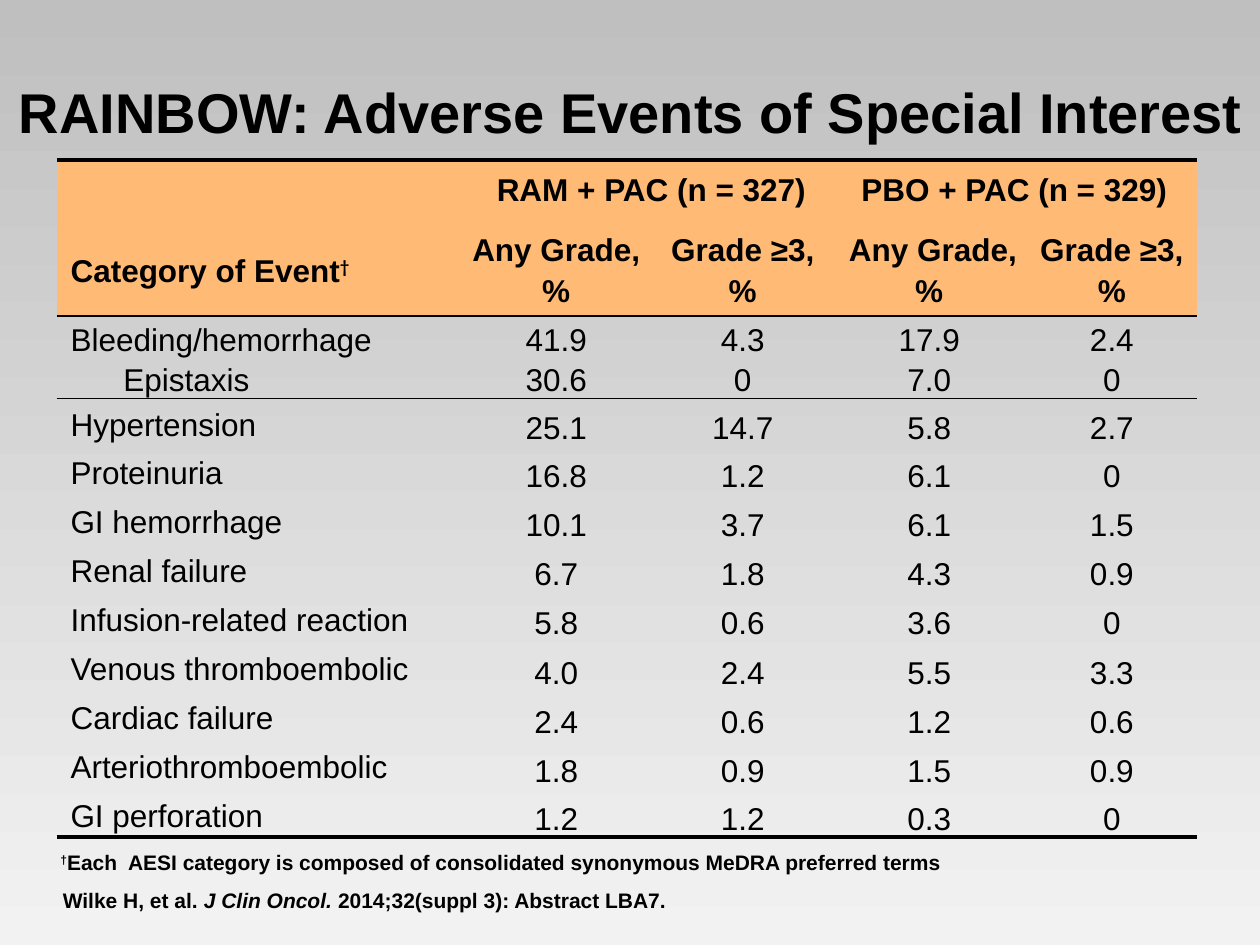
from lxml import etree
from pptx import Presentation
from pptx.dml.color import RGBColor
from pptx.enum.text import MSO_ANCHOR, MSO_AUTO_SIZE, PP_ALIGN
from pptx.oxml.ns import qn
from pptx.util import Inches, Pt

LEFT, CENTER = PP_ALIGN.LEFT, PP_ALIGN.CENTER
TOP, MIDDLE, BOTTOM = MSO_ANCHOR.TOP, MSO_ANCHOR.MIDDLE, MSO_ANCHOR.BOTTOM
TITLE_ONLY = 5
PLAIN_TABLE = "{2D5ABB26-0587-4C30-8999-92F81FD0307C}"

INK = "000000"
HEADER_FILL = "FFBA75"
THICK, THIN = 3, 1
NO_INSET = (0, 0, 0, 0)
SLIM_INSET = (0.01, 0.01, 0.01, 0)
LABEL_INDENT, SUB_INDENT = 0.1, 0.52

COLUMN_WIDTHS = [3.19, 1.55, 1.41, 1.55, 1.35]
ROW_HEIGHTS = [0.48, 0.76, 0.65, 0.38, 0.38] + [0.39] * 6 + [0.38]
GROUPS = [(1, "RAM + PAC (n = 327)", (0.1, 0, 0, 0)),
          (3, "PBO + PAC (n = 329)", NO_INSET)]
GRADES = ["Any Grade, %", "Grade ≥3, %", " Any Grade, %", "Grade ≥3, %"]
# Each table row holds one or more (event, values) lines.
EVENTS = [
    [("Bleeding/hemorrhage", ["41.9", "4.3", "17.9", "2.4"]),
     ("Epistaxis", ["30.6", "0", "7.0", "0"])],
    [("Hypertension", ["25.1", "14.7", "5.8", "2.7"])],
    [("Proteinuria", ["16.8", "1.2", "6.1", "0"])],
    [("GI hemorrhage", ["10.1", "3.7", "6.1", "1.5"])],
    [("Renal failure", ["6.7", "1.8", "4.3", "0.9"])],
    [("Infusion-related reaction", ["5.8", "0.6", "3.6", "0"])],
    [("Venous thromboembolic", ["4.0", "2.4", "5.5", "3.3"])],
    [("Cardiac failure", ["2.4", "0.6", "1.2", "0.6"])],
    [("Arteriothromboembolic", ["1.8", "0.9", "1.5", "0.9"])],
    [("GI perforation", ["1.2", "1.2", "0.3", "0"])],
]


def color(value):
    return RGBColor.from_string(value)


class SlideBuilder:
    """Holds the text style and the slide being filled."""

    def __init__(self, slide, font="Arial"):
        self.slide = slide
        self.font = font

    def background(self, first, last):
        fill = self.slide.background.fill
        fill.gradient()
        fill.gradient_angle = 270
        for stop, position, shade in zip(fill.gradient_stops, (0, 1), (first, last)):
            stop.position = position
            stop.color.rgb = color(shade)

    def span(self, para, text, size, bold=True, italic=False, raised=False, font=None):
        span = para.add_run()
        span.text = text
        span.font.name = font or self.font
        span.font.size = Pt(size)
        span.font.bold = bold
        span.font.italic = italic
        span.font.color.rgb = color(INK)
        if raised:
            span.font._element.set("baseline", "30000")

    def paragraph(self, para, spans, size, align=LEFT, spacing=1.0, indent=0.0, bold=True):
        """Fill a paragraph from (text, options) pairs."""
        para.alignment = align
        para.line_spacing = spacing
        if indent:
            properties = para._p.get_or_add_pPr()
            properties.set("marL", str(Inches(indent)))
            properties.set("indent", "0")
        for text, options in spans:
            self.span(para, text, size, **{"bold": bold, **options})

    def title(self, text, left, top, width, height):
        box = self.slide.shapes.title
        box.left, box.top = Inches(left), Inches(top)
        box.width, box.height = Inches(width), Inches(height)
        box.text_frame.vertical_anchor = MIDDLE
        box.text_frame.word_wrap = True
        self.paragraph(box.text_frame.paragraphs[0], [(text, {})], 32, CENTER, 0.85)

    def note(self, spans, left, top, width, height=0.29):
        box = self.slide.shapes.add_textbox(
            Inches(left), Inches(top), Inches(width), Inches(height))
        frame = box.text_frame
        frame.word_wrap = True
        frame.auto_size = MSO_AUTO_SIZE.SHAPE_TO_FIT_TEXT
        frame.vertical_anchor = TOP
        self.paragraph(frame.paragraphs[0], spans, 12, spacing=0.95)

    def table(self, left, top, widths, heights):
        frame = self.slide.shapes.add_table(
            len(heights), len(widths), Inches(left), Inches(top),
            Inches(sum(widths)), Inches(sum(heights)))
        table = frame.table
        table.first_row = table.horz_banding = False
        table._tbl.tblPr.find(qn("a:tableStyleId")).text = PLAIN_TABLE
        for column, width in zip(table.columns, widths):
            column.width = Inches(width)
        for row, height in zip(table.rows, heights):
            row.height = Inches(height)
        return table

    def cell(self, cell, lines, anchor=MIDDLE, inset=SLIM_INSET, align=CENTER,
             spacing=1.15, bold=False):
        """Fill a cell from (spans, indent) lines."""
        cell.vertical_anchor = anchor
        (cell.margin_left, cell.margin_top,
         cell.margin_right, cell.margin_bottom) = map(Inches, inset)
        frame = cell.text_frame
        for index, (spans, indent) in enumerate(lines):
            para = frame.add_paragraph() if index else frame.paragraphs[0]
            self.paragraph(para, spans, 18, align, spacing, indent, bold)

    def rule(self, cells, side, width):
        """Draw a border on one side ("T" or "B") of each cell."""
        for cell in cells:
            line = etree.Element(qn(f"a:ln{side}"), w=str(Pt(width)))
            fill = etree.SubElement(line, qn("a:solidFill"))
            etree.SubElement(fill, qn("a:srgbClr"), val=INK)
            cell._tc.get_or_add_tcPr().insert(0, line)


def fill_header(page, table):
    for column, text, inset in GROUPS:
        origin = table.cell(0, column)
        origin.merge(table.cell(0, column + 1))
        page.cell(origin, [([(text, {})], 0)], inset=inset, spacing=1.0, bold=True)
    category = [("Category of Event", {}), ("†", {"raised": True, "font": "Calibri"})]
    page.cell(table.cell(1, 0), [(category, LABEL_INDENT)], align=LEFT, bold=True)
    for column, text in enumerate(GRADES, 1):
        inset = (0.1, 0.05, 0.1, 0.05) if column == 1 else NO_INSET
        page.cell(table.cell(1, column), [([(text, {})], 0)], inset=inset, bold=True)


def fill_events(page, table):
    for row, events in enumerate(EVENTS, 2):
        labels = [([(name, {})], SUB_INDENT if index else LABEL_INDENT)
                  for index, (name, _) in enumerate(events)]
        page.cell(table.cell(row, 0), labels, align=LEFT)
        for column in range(1, len(COLUMN_WIDTHS)):
            values = [([(numbers[column - 1], {})], 0) for _, numbers in events]
            inset = NO_INSET if column == 1 else SLIM_INSET
            page.cell(table.cell(row, column), values, BOTTOM, inset)


def main():
    deck = Presentation()
    deck.slide_width, deck.slide_height = Inches(10), Inches(7.5)
    page = SlideBuilder(deck.slides.add_slide(deck.slide_layouts[TITLE_ONLY]))
    page.background("BFBFBF", "F2F2F2")
    page.title("RAINBOW: Adverse Events of Special Interest", 0.01, 0.55, 10, 0.75)

    table = page.table(0.45, 1.27, COLUMN_WIDTHS, ROW_HEIGHTS)
    fill_header(page, table)
    fill_events(page, table)
    rows = [list(row.cells) for row in table.rows]
    for index, cells in enumerate(rows):
        for cell in cells:
            if index < 2:
                cell.fill.solid()
                cell.fill.fore_color.rgb = color(HEADER_FILL)
            else:
                cell.fill.background()
    page.rule(rows[0], "T", THICK)
    page.rule(rows[1], "B", THIN)
    page.rule(rows[2], "T", THIN)
    page.rule(rows[-1], "B", THICK)

    page.note([("†", {"raised": True}),
               ("Each  AESI category is composed of consolidated synonymous "
                "MeDRA preferred terms", {})], 0.38, 6.71, 9.22)
    page.note([("Wilke H, et al. ", {}), ("J Clin Oncol. ", {"italic": True}),
               ("2014;32(suppl 3): Abstract LBA7.", {})], 0.4, 7.01, 6.79)
    deck.save("out.pptx")


if __name__ == "__main__":
    main()
